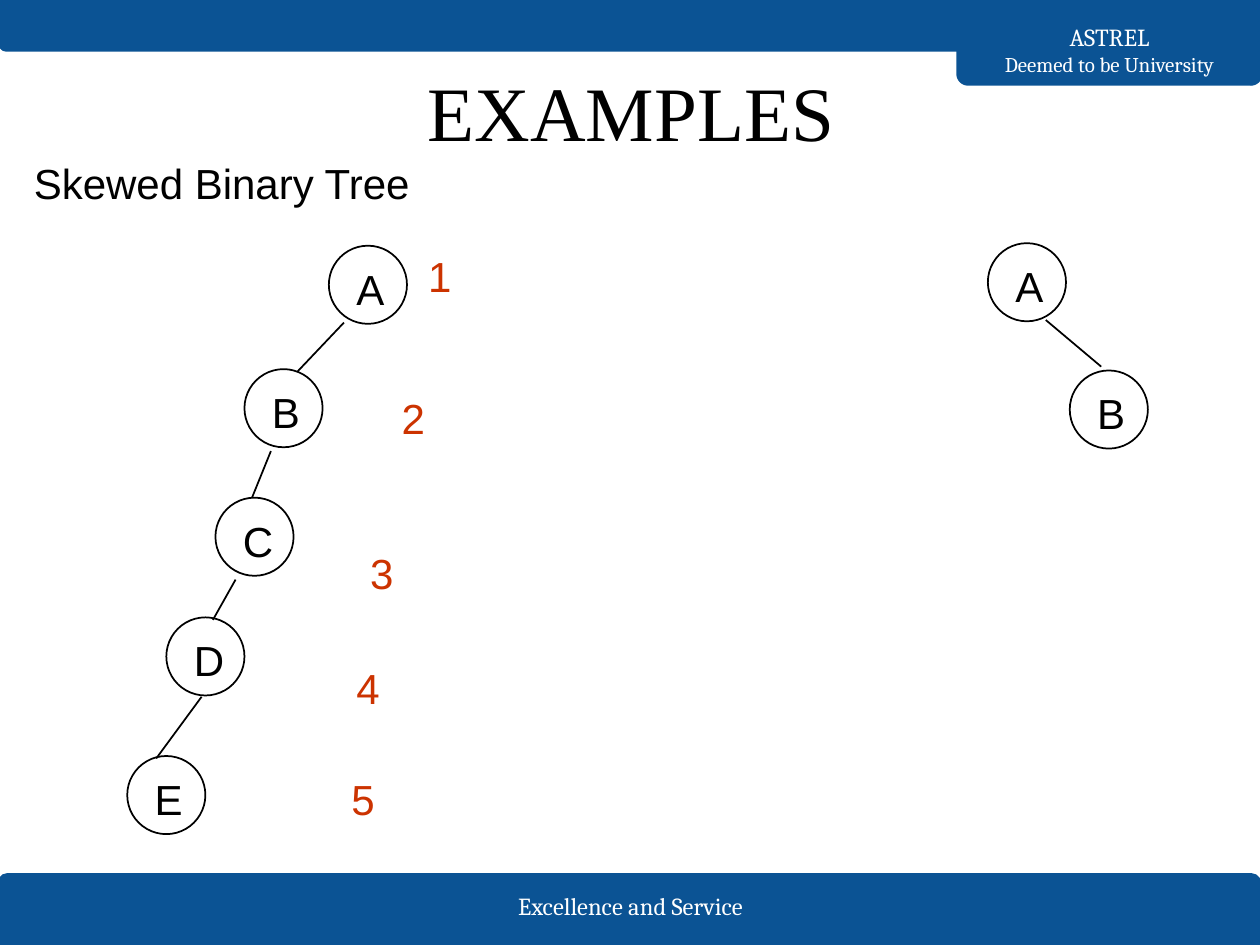
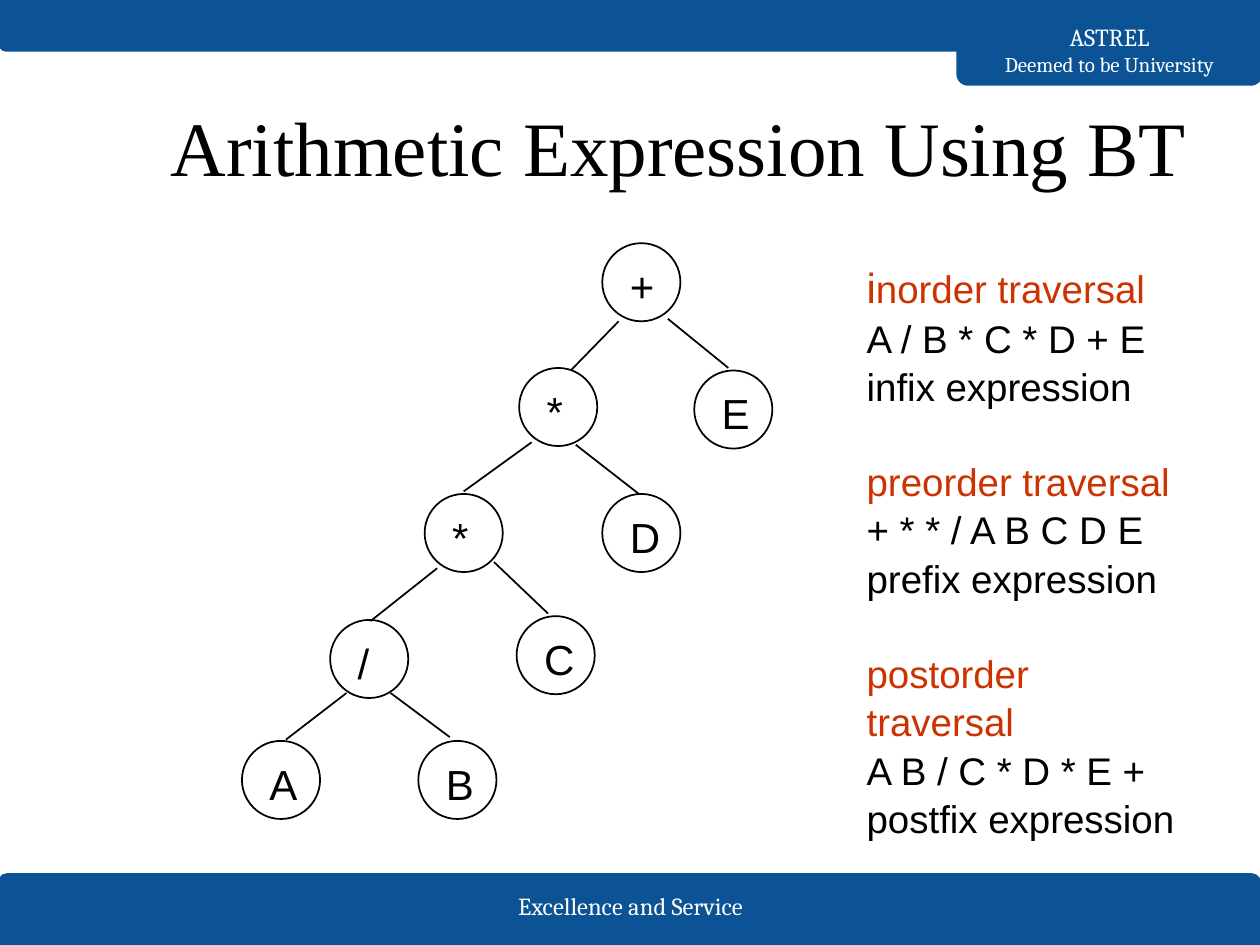
from lxml import etree
from pptx import Presentation
from pptx.dml.color import RGBColor
from pptx.enum.shapes import MSO_CONNECTOR, MSO_SHAPE
from pptx.enum.text import MSO_ANCHOR, PP_ALIGN
from pptx.oxml.ns import qn
from pptx.util import Inches, Pt

BLUE = RGBColor(0x0B, 0x53, 0x94)
RED = RGBColor(0xCC, 0x33, 0x00)
BLACK = RGBColor(0x00, 0x00, 0x00)
WHITE = RGBColor(0xFF, 0xFF, 0xFF)

STRAIGHT = MSO_CONNECTOR.STRAIGHT
OVAL = MSO_SHAPE.OVAL
ROUND_TOP = MSO_SHAPE.ROUND_2_SAME_RECTANGLE
MIDDLE = MSO_ANCHOR.MIDDLE
CENTER = PP_ALIGN.CENTER
LEFT = PP_ALIGN.LEFT

TITLE_ONLY = 5
NODE_SIZE = 0.62
LABEL_OFFSET = (0.12, 0.09)
LABEL_SIZE = (0.44, 0.5)
LINE_SPACING = 1.05
BLOCK_GAP = Pt(26.5)

# Nodes are (label, left, top); edges are (from x, from y, to x, to y).
LEFT_SKEWED_NODES = [
    ("A", 2.61, 1.95), ("B", 1.94, 2.93), ("C", 1.71, 3.95),
    ("D", 1.32, 4.9), ("E", 1.01, 6),
]
LEFT_SKEWED_EDGES = [
    (2.73, 2.56, 2.36, 2.95), (2.15, 3.58, 2, 3.95),
    (1.87, 4.6, 1.69, 4.92), (1.6, 5.53, 1.24, 6.02),
]
RIGHT_SKEWED_NODES = [("A", 7.84, 1.93), ("B", 8.49, 2.94)]
RIGHT_SKEWED_EDGES = [(8.3, 2.54, 8.74, 2.91)]
LEVEL_POSITIONS = [(3.3, 1.94), (3.09, 3.07), (2.84, 4.3), (2.73, 5.21), (2.69, 6.09)]

EXPRESSION_NODES = [
    ("+", 4.78, 1.93), ("*", 4.12, 2.92), ("E", 5.51, 2.94),
    ("*", 3.37, 3.92), ("D", 4.78, 3.92), ("/", 2.62, 4.92),
    ("C", 4.1, 4.89), ("A", 1.92, 5.88), ("B", 3.32, 5.88),
]
EXPRESSION_EDGES = [
    (4.91, 2.55, 4.53, 2.94), (5.3, 2.53, 5.78, 2.92),
    (4.22, 3.51, 3.68, 3.9), (4.57, 3.53, 5.07, 3.92),
    (3.47, 4.51, 2.94, 4.93), (3.92, 4.46, 4.35, 4.87),
    (2.75, 5.5, 2.27, 5.87), (3.1, 5.5, 3.57, 5.85),
]
TRAVERSALS = [
    ("inorder traversal", "A / B * C * D + E", "infix expression"),
    ("preorder traversal", "+ * * / A B C D E", "prefix expression"),
    ("postorder traversal", "A B / C * D * E +", "postfix expression"),
]


def inches(values):
    return [Inches(value) for value in values]


def format_span(span, size, color=BLACK, font="Arial"):
    span.font.name = font
    span.font.size = Pt(size)
    span.font.color.rgb = color


def add_text(shapes, box, text, size=24, color=BLACK, font="Arial", align=LEFT):
    text_box = shapes.add_textbox(*inches(box))
    frame = text_box.text_frame
    frame.word_wrap = True
    frame.text = text
    for para in frame.paragraphs:
        para.alignment = align
        format_span(para.runs[0], size, color, font)
    return text_box


def add_band(page, box, rotation=0):
    band = page.shapes.add_shape(ROUND_TOP, *inches(box))
    band.adjustments[0] = 0.125
    band.rotation = rotation
    band.shadow.inherit = False
    band.fill.solid()
    band.fill.fore_color.rgb = BLUE
    band.line.color.rgb = BLUE
    band.line.width = Pt(1.5)
    return band


def add_band_text(page, box, text):
    text_box = add_text(page.shapes, box, text, 14, WHITE, "Cambria", CENTER)
    frame = text_box.text_frame
    frame.vertical_anchor = MIDDLE
    frame.margin_top = frame.margin_bottom = Inches(0.1)
    return text_box


def add_shared_bands(page, layout):
    """Draw the header and footer, then move them to the layout all slides use."""
    footer = add_band(page, (-0.01, 6.94, 10.01, 0.56))
    motto = add_band_text(page, (3.66, 7.03, 2.69, 0.32), "Excellence and Service")
    tab = add_band(page, (7.6, 0, 2.41, 0.67), 180)
    header = add_band(page, (0, 0, 10.01, 0.4), 180)
    school = add_band_text(page, (7.6, 0.27, 2.41, 0.25),
                           "ASTREL\nDeemed to be University")
    school.text_frame.paragraphs[1].runs[0].font.size = Pt(12)
    layout_tree = layout.placeholders[0].element.getparent()
    for number, shape in enumerate((footer, motto, tab, header, school), 20):
        shape.element.find(".//" + qn("p:cNvPr")).set("id", str(number))
        layout_tree.append(shape.element)


def set_title(page, box, text):
    title = page.shapes.title
    title.left, title.top, title.width, title.height = inches(box)
    title.text_frame.text = text
    title.text_frame.vertical_anchor = MIDDLE
    para = title.text_frame.paragraphs[0]
    para.alignment = CENTER
    format_span(para.runs[0], 44, font="Times New Roman")


def add_node(page, label, left, top):
    group = page.shapes.add_group_shape()
    circle = group.shapes.add_shape(OVAL, *inches((left, top, NODE_SIZE, NODE_SIZE)))
    circle.shadow.inherit = False
    circle.fill.background()
    circle.line.color.rgb = BLACK
    circle.line.width = Pt(1)
    corner = (left + LABEL_OFFSET[0], top + LABEL_OFFSET[1])
    add_text(group.shapes, corner + LABEL_SIZE, label)


def add_edge(page, ends):
    edge = page.shapes.add_connector(STRAIGHT, *inches(ends))
    edge.line.color.rgb = BLACK
    edge.line.width = Pt(1)
    etree.SubElement(edge.element.spPr, qn("a:effectLst"))


def add_tree(page, nodes, edges):
    for node in nodes:
        add_node(page, *node)
    for ends in edges:
        add_edge(page, ends)


def add_traversals(page, box):
    lines = [line for block in TRAVERSALS for line in block]
    text_box = add_text(page.shapes, box, "\n".join(lines), 22)
    paragraphs = text_box.text_frame.paragraphs
    for para in paragraphs:
        para.line_spacing = LINE_SPACING
    headings = paragraphs[::len(TRAVERSALS[0])]
    for para in headings:
        para.runs[0].font.color.rgb = RED
    for para in headings[1:]:
        para.space_before = BLOCK_GAP

    first = headings[0]
    heading = first.runs[0].text
    first.runs[0].text = heading[0]
    format_span(first.runs[0], 24, RED)
    rest = first.add_run()
    rest.text = heading[1:]
    format_span(rest, 22, RED)


def build_skewed_trees(page):
    set_title(page, (0, 0.51, 10.02, 0.74), "EXAMPLES")
    add_text(page.shapes, (0.17, 1.2, 3.97, 0.5), "Skewed Binary Tree")
    add_tree(page, LEFT_SKEWED_NODES, LEFT_SKEWED_EDGES)
    add_tree(page, RIGHT_SKEWED_NODES, RIGHT_SKEWED_EDGES)
    for level, corner in enumerate(LEVEL_POSITIONS, 1):
        add_text(page.shapes, corner + (0.37, 0.5), str(level), color=RED)


def build_expression_tree(page):
    set_title(page, (0.38, 0.53, 10.02, 1.25), "Arithmetic Expression Using BT")
    add_tree(page, EXPRESSION_NODES, EXPRESSION_EDGES)
    add_traversals(page, (6.78, 2.01, 2.72, 4.95))


def main():
    deck = Presentation()
    deck.slide_width, deck.slide_height = Inches(10), Inches(7.5)
    layout = deck.slide_layouts[TITLE_ONLY]
    pages = [deck.slides.add_slide(layout) for _ in range(2)]
    add_shared_bands(pages[0], layout)
    build_skewed_trees(pages[0])
    build_expression_tree(pages[1])
    deck.save("out.pptx")


if __name__ == "__main__":
    main()
